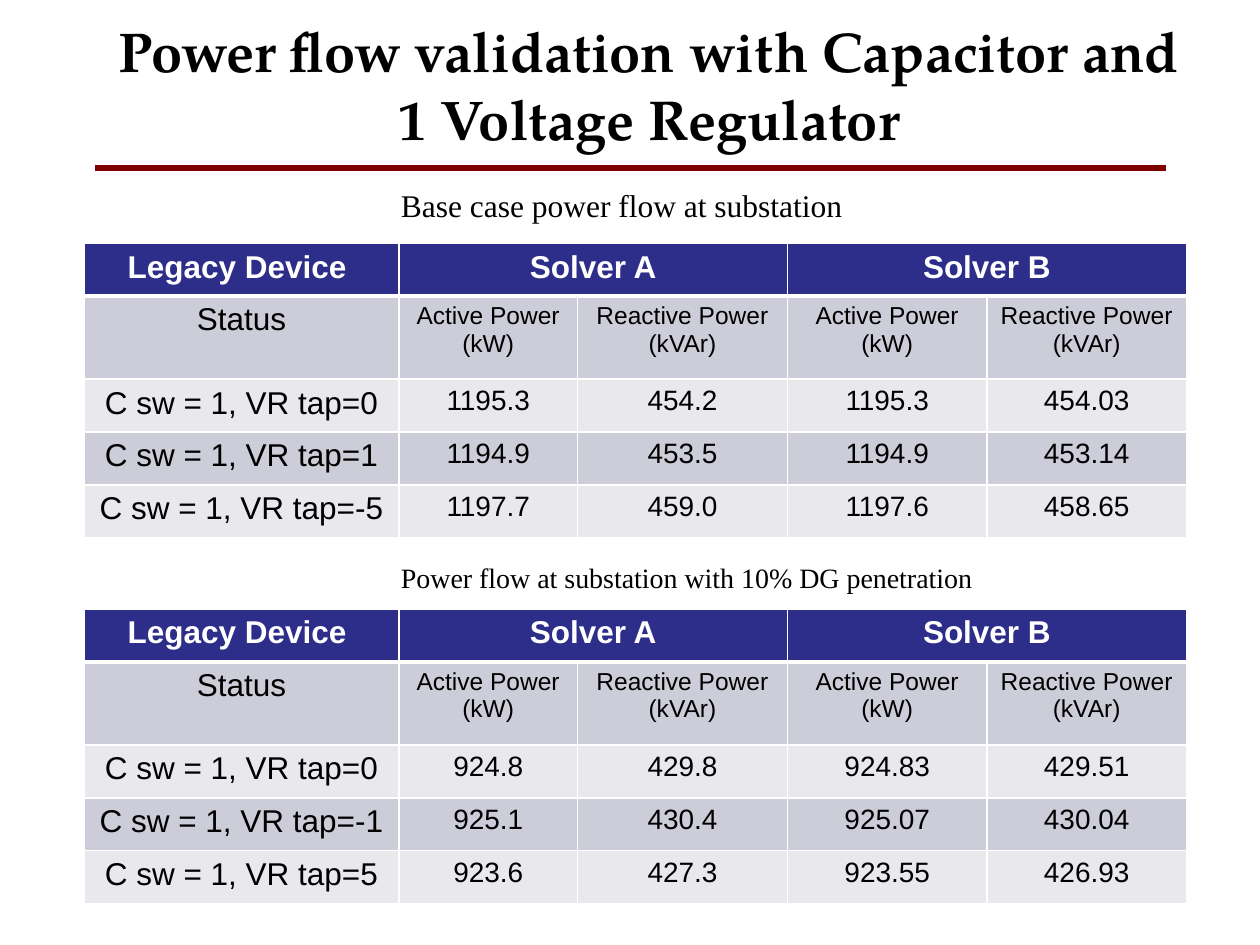
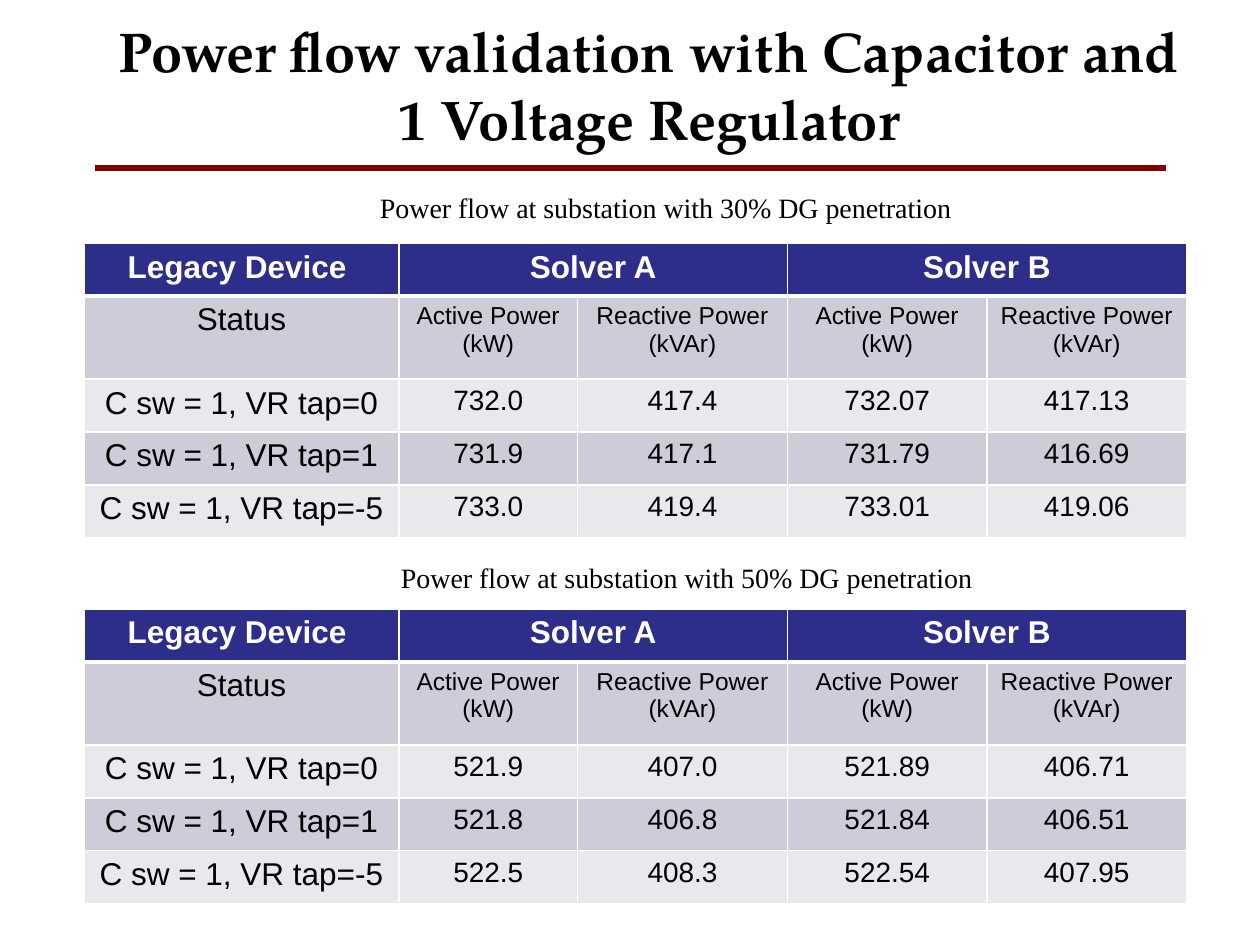
"""Build two slides of power flow validation tables."""
import pptx
import pptx.util
import pptx.dml.color
import pptx.enum.shapes
import pptx.enum.text
import pptx.oxml
import pptx.oxml.ns

Pt = pptx.util.Pt
ALIGN = pptx.enum.text.PP_ALIGN

COLORS = {"text": "000000", "rule": "800000", "header": "2D2D8A",
          "dark": "CDCDDA", "light": "E8E8ED", "white": "FFFFFF"}
FONTS = {"title": "TeX Gyre Pagella", "caption": "Times New Roman", "table": "Arial"}

TITLE = "Power flow validation with Capacitor and \v1 Voltage Regulator "
HEADER = ["Legacy Device ", "Solver A", "", "Solver B", ""]
UNITS = ["Status"] + ["Active Power (kW)", "Reactive Power (kVAr)"] * 2
STATUS = "C sw = 1, VR tap={}"

SLIDES = [
    [
        {"caption": "Base case power flow at substation ", "size": 18,
         "box": (222, 103, 318, 29),
         "rows": [(0, "1195.3", "454.2", "1195.3", "454.03"),
                  (1, "1194.9", "453.5", "1194.9", "453.14"),
                  (-5, "1197.7", "459.0", "1197.6", "458.65")]},
        {"caption": "Power flow at substation with 10% DG penetration", "size": 16,
         "box": (222, 317, 372, 26.6),
         "rows": [(0, "924.8", "429.8", "924.83", "429.51"),
                  (-1, "925.1", "430.4", "925.07", "430.04"),
                  (5, "923.6", "427.3", "923.55", "426.93")]},
    ],
    [
        {"caption": "Power flow at substation with 30% DG penetration", "size": 16,
         "box": (210, 105.3, 372, 26.6),
         "rows": [(0, "732.0", "417.4", "732.07", "417.13"),
                  (1, "731.9", "417.1", "731.79", "416.69"),
                  (-5, "733.0", "419.4", "733.01", "419.06")]},
        {"caption": "Power flow at substation with 50% DG penetration", "size": 16,
         "box": (222, 317, 372, 26.6),
         "rows": [(0, "521.9", "407.0", "521.89", "406.71"),
                  (1, "521.8", "406.8", "521.84", "406.51"),
                  (-5, "522.5", "408.3", "522.54", "407.95")]},
    ],
]

TABLE_LEFT = 48
TABLE_TOPS = [139, 348]
COLUMN_WIDTHS = [180, 102, 120, 114, 114]
ROW_HEIGHTS = [30.2, 47.5, 30.2, 30.2, 30.2]


def rgb(name):
    return pptx.dml.color.RGBColor.from_string(COLORS[name])


def style(tf, font, size, color="text", bold=False, align=ALIGN.LEFT):
    for p in tf.paragraphs:
        p.alignment = align
        for r in p.runs:
            r.font.name = FONTS[font]
            r.font.size = Pt(size)
            r.font.bold = bold
            r.font.color.rgb = rgb(color)


def add_text(s, box, text):
    tf = s.shapes.add_textbox(*map(Pt, box)).text_frame
    tf.word_wrap = True
    tf.text = text
    return tf


def add_title(s):
    tf = add_text(s, (15, 18, 720, 60), TITLE)
    tf.vertical_anchor = pptx.enum.text.MSO_ANCHOR.MIDDLE
    style(tf, "title", 32, bold=True, align=ALIGN.CENTER)


def add_rule(s):
    line = s.shapes.add_connector(pptx.enum.shapes.MSO_CONNECTOR.STRAIGHT,
                                  Pt(54), Pt(96), Pt(666), Pt(96))
    line.line.color.rgb = rgb("rule")
    line.line.width = Pt(3.5)
    line._element.spPr.append(pptx.oxml.parse_xml(
        "<a:effectLst %s/>" % pptx.oxml.ns.nsdecls("a")))


def add_caption(s, part):
    tf = add_text(s, part["box"], part["caption"])
    tf.auto_size = pptx.enum.text.MSO_AUTO_SIZE.SHAPE_TO_FIT_TEXT
    style(tf, "caption", part["size"])


def set_borders(cell, widths):
    tcPr = cell._tc.get_or_add_tcPr()
    for side, width in widths.items():
        tcPr.append(pptx.oxml.parse_xml(
            '<a:ln%s %s w="%d"><a:solidFill><a:srgbClr val="%s"/></a:solidFill></a:ln%s>'
            % (side, pptx.oxml.ns.nsdecls("a"), Pt(width), COLORS["white"], side)))


def text_size(row, column):
    if row == 0 or column == 0:
        return 18
    return 14 if row == 1 else 16


def add_power_table(s, top, rows):
    content = [HEADER, UNITS] + [[STATUS.format(tap), *values] for tap, *values in rows]
    table = s.shapes.add_table(len(content), len(HEADER), Pt(TABLE_LEFT), Pt(top),
                               Pt(sum(COLUMN_WIDTHS)), Pt(sum(ROW_HEIGHTS))).table
    for column, width in zip(table.columns, COLUMN_WIDTHS):
        column.width = Pt(width)
    for row, height in zip(table.rows, ROW_HEIGHTS):
        row.height = Pt(height)
    for i, texts in enumerate(content):
        header = i == 0
        fill = "header" if header else "dark" if i % 2 else "light"
        for j, text in enumerate(texts):
            cell = table.cell(i, j)
            cell.text = text
            style(cell.text_frame, "table", text_size(i, j),
                  "white" if header else "text", header, ALIGN.CENTER)
            set_borders(cell, {"L": 1, "R": 1, "T": 3 if i == 1 else 1,
                               "B": 3 if header else 1})
            cell.fill.solid()
            cell.fill.fore_color.rgb = rgb(fill)
    for j in (1, 3):
        table.cell(0, j).merge(table.cell(0, j + 1))


prs = pptx.Presentation()
prs.slide_width, prs.slide_height = Pt(720), Pt(540)
for parts in SLIDES:
    s = prs.slides.add_slide(prs.slide_layouts[6])
    add_rule(s)
    add_title(s)
    for part, top in zip(parts, TABLE_TOPS):
        add_caption(s, part)
        add_power_table(s, top, part["rows"])
prs.save("out.pptx")
